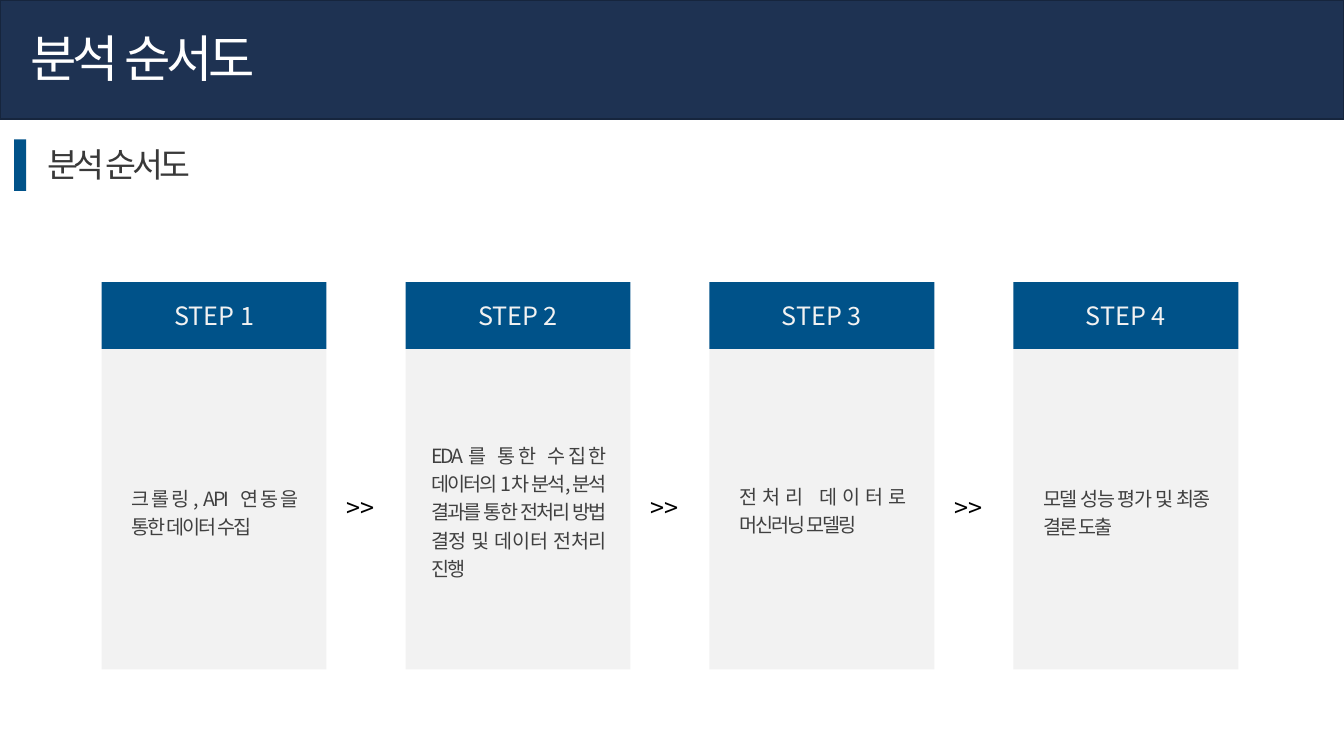
from dataclasses import dataclass

from lxml import etree
from pptx import Presentation
from pptx.dml.color import RGBColor
from pptx.enum.lang import MSO_LANGUAGE_ID
from pptx.enum.shapes import MSO_SHAPE
from pptx.enum.text import MSO_ANCHOR, MSO_AUTO_SIZE, PP_ALIGN
from pptx.oxml.ns import qn
from pptx.util import Cm, Pt

RECT = MSO_SHAPE.RECTANGLE
LEFT, CENTER, JUSTIFY = PP_ALIGN.LEFT, PP_ALIGN.CENTER, PP_ALIGN.JUSTIFY
TOP, MIDDLE = MSO_ANCHOR.TOP, MSO_ANCHOR.MIDDLE
GROW = MSO_AUTO_SIZE.SHAPE_TO_FIT_TEXT
KOREAN = MSO_LANGUAGE_ID.KOREAN

# Content
TITLE = "분석 순서도"
SUBTITLE = "분석 순서도"
ARROW = ">>"
STEPS = [  # heading, description, text width and height in cm
    ("STEP 1", "크롤링, API 연동을 통한 데이터 수집", 4.67, 1.6),
    ("STEP 2", "EDA를 통한 수집한 데이터의 1차 분석, 분석 결과를 통한 전처리 "
               "방법 결정 및 데이터 전처리 진행", 4.88, 3.78),
    ("STEP 3", "전처리 데이터로 머신러닝 모델링", 4.67, 1.7),
    ("STEP 4", "모델 성능 평가 및 최종 결론 도출", 4.67, 1.63),
]


@dataclass(frozen=True)
class Theme:
    font: str = "Noto Sans CJK KR"
    navy: str = "1E3252"
    navy_edge: str = "16253D"
    blue: str = "005289"
    pale: str = "F2F2F2"
    white: str = "FFFFFF"
    black: str = "000000"
    heading: str = "393939"
    body: str = "404040"
    title_size: int = 36
    subtitle_size: int = 24
    step_size: int = 18
    body_size: int = 14


T = Theme()

# Layout in cm
SLIDE_W, SLIDE_H = 33.87, 19.05
CARD_LEFT, CARD_W, PITCH = 2.56, 5.67, 7.66
HEAD_TOP, HEAD_H = 7.11, 1.68
BODY_TOP, BODY_H = HEAD_TOP + HEAD_H, 8.08
BODY_MID = BODY_TOP + BODY_H / 2
ARROW_W, ARROW_H = 1.5, 1.12


def add_rect(s, x, y, w, h, fill, line=None):
    sp = s.shapes.add_shape(RECT, Cm(x), Cm(y), Cm(w), Cm(h))
    sp.shadow.inherit = False
    sp.fill.solid()
    sp.fill.fore_color.rgb = RGBColor.from_string(fill)
    if line:
        sp.line.color.rgb = RGBColor.from_string(line)
        sp.line.width = Pt(1)
    else:
        sp.line.fill.background()
    return sp


def write(sp, text, size, color, align=LEFT, spacing=0, wrap=False, anchor=TOP):
    tf = sp.text_frame
    tf.word_wrap = wrap
    tf.vertical_anchor = anchor
    p = tf.paragraphs[0]
    p.alignment = align
    r = p.add_run()
    r.text = text
    r.font.size = Pt(size)
    r.font.name = T.font
    r.font.language_id = KOREAN
    r.font.color.rgb = RGBColor.from_string(color)
    rpr = r.font._element
    if spacing:
        rpr.set("spc", str(int(spacing * 100)))
    ea = etree.Element(qn("a:ea"), typeface=T.font)
    rpr.find(qn("a:latin")).addnext(ea)
    return p


def add_text(s, x, y, w, h, *args, **kwargs):
    sp = s.shapes.add_textbox(Cm(x), Cm(y), Cm(w), Cm(h))
    p = write(sp, *args, **kwargs)
    sp.text_frame.auto_size = GROW
    return p


def main():
    prs = Presentation()
    prs.slide_width, prs.slide_height = Cm(SLIDE_W), Cm(SLIDE_H)
    s = prs.slides.add_slide(prs.slide_layouts[5])

    # Title on its band
    title = s.shapes.title
    title.left, title.top, title.width, title.height = Cm(0.51), Cm(0.56), Cm(6.73), Cm(1.8)
    write(title, TITLE, T.title_size, T.white, spacing=-3)
    title.text_frame.auto_size = GROW
    band = add_rect(s, 0, 0, SLIDE_W, 3, T.navy, T.navy_edge)
    title.element.addprevious(band.element)

    # Subtitle with marker
    add_rect(s, 0.36, 3.51, 0.3, 1.3, T.blue)
    add_text(s, 0.94, 3.51, 4.45, 1.27, SUBTITLE, T.subtitle_size, T.heading, spacing=-3)

    # Step cards
    for i, (heading, description, w, h) in enumerate(STEPS):
        x = CARD_LEFT + i * PITCH
        add_rect(s, x, BODY_TOP, CARD_W, BODY_H, T.pale)
        head = add_rect(s, x, HEAD_TOP, CARD_W, HEAD_H, T.blue)
        write(head, heading, T.step_size, T.pale, CENTER, anchor=MIDDLE)
        p = add_text(s, x + (CARD_W - w) / 2, BODY_MID - h / 2, w, h, description,
                     T.body_size, T.body, JUSTIFY, spacing=-1.5, wrap=True)
        p.line_spacing = 1.2

        # Arrow centred in the gap before this card
        if i:
            gap_mid = x - (PITCH - CARD_W) / 2
            add_text(s, gap_mid - ARROW_W / 2, BODY_MID - ARROW_H / 2, ARROW_W, ARROW_H,
                     ARROW, T.step_size, T.black)

    prs.save("out.pptx")


if __name__ == "__main__":
    main()
